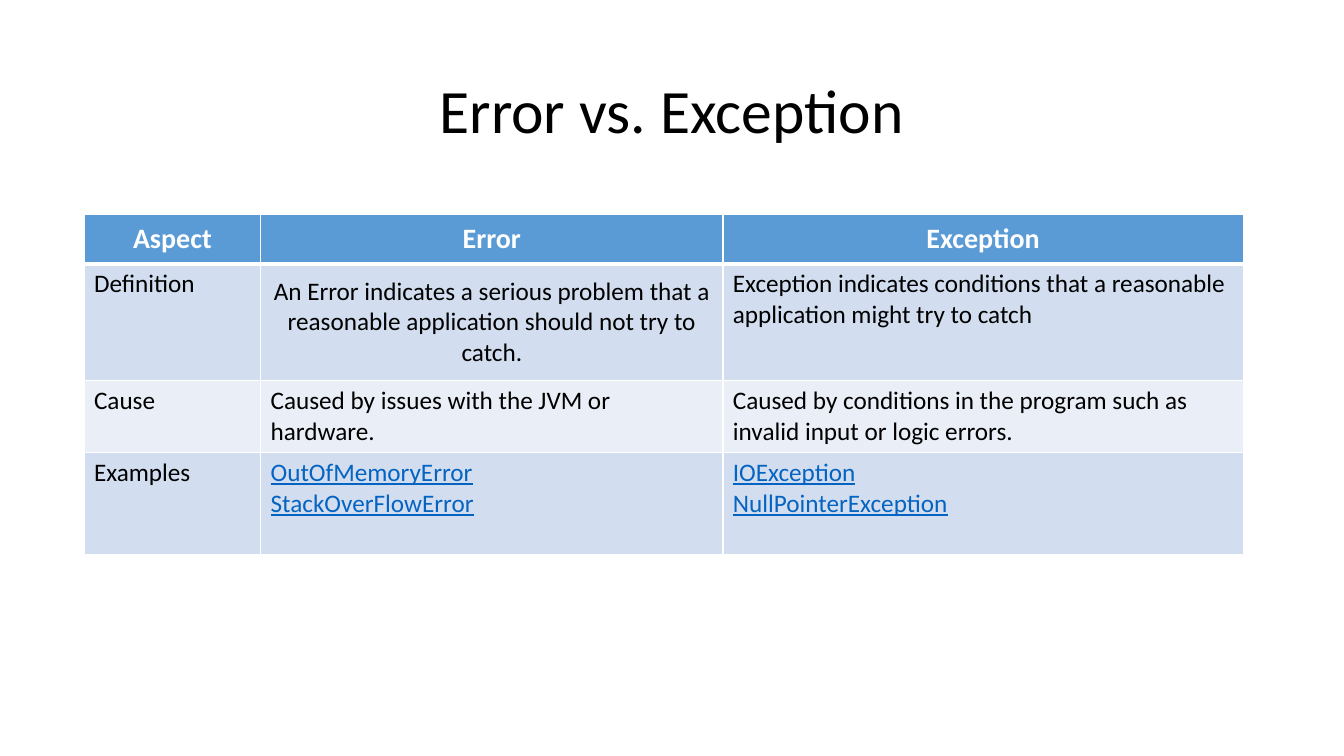
from dataclasses import dataclass

from lxml import etree
from pptx import Presentation
from pptx.dml.color import RGBColor
from pptx.enum.text import MSO_ANCHOR, PP_ALIGN
from pptx.oxml.ns import qn
from pptx.util import Cm, Pt

LEFT, CENTER = PP_ALIGN.LEFT, PP_ALIGN.CENTER
TOP, MIDDLE = MSO_ANCHOR.TOP, MSO_ANCHOR.MIDDLE

FONT = "Calibri"
BLACK, WHITE, LINK = "000000", "FFFFFF", "0563C1"
HEADER_FILL, ODD_FILL, EVEN_FILL = "5B9BD5", "D2DEEF", "EAEFF7"
COLUMN_WIDTHS = (4.45, 11.65, 13.11)
ROW_HEIGHTS = (1.24, 2.94, 1.81, 2.57)
THIN, THICK = 1, 3


@dataclass(frozen=True)
class Style:
    size: float = 18
    color: str = BLACK
    bold: bool = False
    underline: bool = False
    align: PP_ALIGN = LEFT
    anchor: MSO_ANCHOR = TOP
    side_margin: float = 0.25
    end_margin: float = 0.13
    spacing: float = 1.0


@dataclass(frozen=True)
class Entry:
    text: str
    style: Style


TITLE = Style(size=44, align=CENTER, anchor=MIDDLE, spacing=0.9)
HEADER = Style(size=20, color=WHITE, bold=True, align=CENTER, anchor=MIDDLE,
               side_margin=0.2, end_margin=0.2)
BODY = Style()
CENTERED = Style(align=CENTER, anchor=MIDDLE, side_margin=0.2, end_margin=0.3)
LINKED = Style(color=LINK, underline=True)

ROWS = (
    (Entry("Aspect", HEADER), Entry("Error", HEADER), Entry("Exception", HEADER)),
    (
        Entry("Definition", BODY),
        Entry("An Error indicates a serious problem that a reasonable "
              "application should not try to catch.", CENTERED),
        Entry("Exception indicates conditions that a reasonable application "
              "might try to catch", BODY),
    ),
    (
        Entry("Cause", BODY),
        Entry("Caused by issues with the JVM or hardware.", BODY),
        Entry("Caused by conditions in the program such as invalid input or "
              "logic errors.", BODY),
    ),
    (
        Entry("Examples", BODY),
        Entry("OutOfMemoryError\nStackOverFlowError", LINKED),
        Entry("IOException\nNullPointerException", LINKED),
    ),
)


def rgb(value: str) -> RGBColor:
    return RGBColor.from_string(value)


def apply(target, values: dict) -> None:
    for name, value in values.items():
        setattr(target, name, value)


def write_text(frame, text: str, style: Style) -> None:
    frame.text = text
    for para in frame.paragraphs:
        apply(para, {"alignment": style.align, "line_spacing": style.spacing})
        for span in para.runs:
            apply(span.font, {"name": FONT, "size": Pt(style.size),
                              "bold": style.bold, "underline": style.underline})
            span.font.color.rgb = rgb(style.color)


def margins(style: Style) -> dict:
    side, end = Cm(style.side_margin), Cm(style.end_margin)
    return {"margin_left": side, "margin_right": side,
            "margin_top": end, "margin_bottom": end}


def draw_borders(cell, widths: dict[str, float]) -> None:
    properties = cell._tc.get_or_add_tcPr()
    for side, width in widths.items():
        line = etree.SubElement(properties, qn(f"a:ln{side}"), w=str(Pt(width)))
        solid = etree.SubElement(line, qn("a:solidFill"))
        etree.SubElement(solid, qn("a:srgbClr"), val=WHITE)


def draw_cell(cell, entry: Entry, row: int) -> None:
    write_text(cell.text_frame, entry.text, entry.style)
    apply(cell, {"vertical_anchor": entry.style.anchor, **margins(entry.style)})
    draw_borders(cell, {"L": THIN, "R": THIN,
                        "T": THICK if row == 1 else THIN,
                        "B": THICK if row == 0 else THIN})
    cell.fill.solid()
    band = ODD_FILL if row % 2 else EVEN_FILL
    cell.fill.fore_color.rgb = rgb(HEADER_FILL if row == 0 else band)


def draw_title(page, text: str) -> None:
    box = page.shapes.add_textbox(Cm(2.33), Cm(1.01), Cm(29.21), Cm(3.68))
    apply(box.text_frame, {"word_wrap": True, "vertical_anchor": TITLE.anchor,
                           **margins(TITLE)})
    write_text(box.text_frame, text, TITLE)


def draw_table(page) -> None:
    table = page.shapes.add_table(
        len(ROW_HEIGHTS), len(COLUMN_WIDTHS), Cm(2.12), Cm(5.4),
        Cm(sum(COLUMN_WIDTHS)), Cm(sum(ROW_HEIGHTS))).table
    for column, width in zip(table.columns, COLUMN_WIDTHS):
        column.width = Cm(width)
    for row, height in zip(table.rows, ROW_HEIGHTS):
        row.height = Cm(height)
    for row, entries in enumerate(ROWS):
        for column, entry in enumerate(entries):
            draw_cell(table.cell(row, column), entry, row)


def main() -> None:
    deck = Presentation()
    apply(deck, {"slide_width": Cm(33.87), "slide_height": Cm(19.05)})
    page = deck.slides.add_slide(deck.slide_layouts[6])
    draw_title(page, "Error vs. Exception")
    draw_table(page)
    deck.save("out.pptx")


if __name__ == "__main__":
    main()
